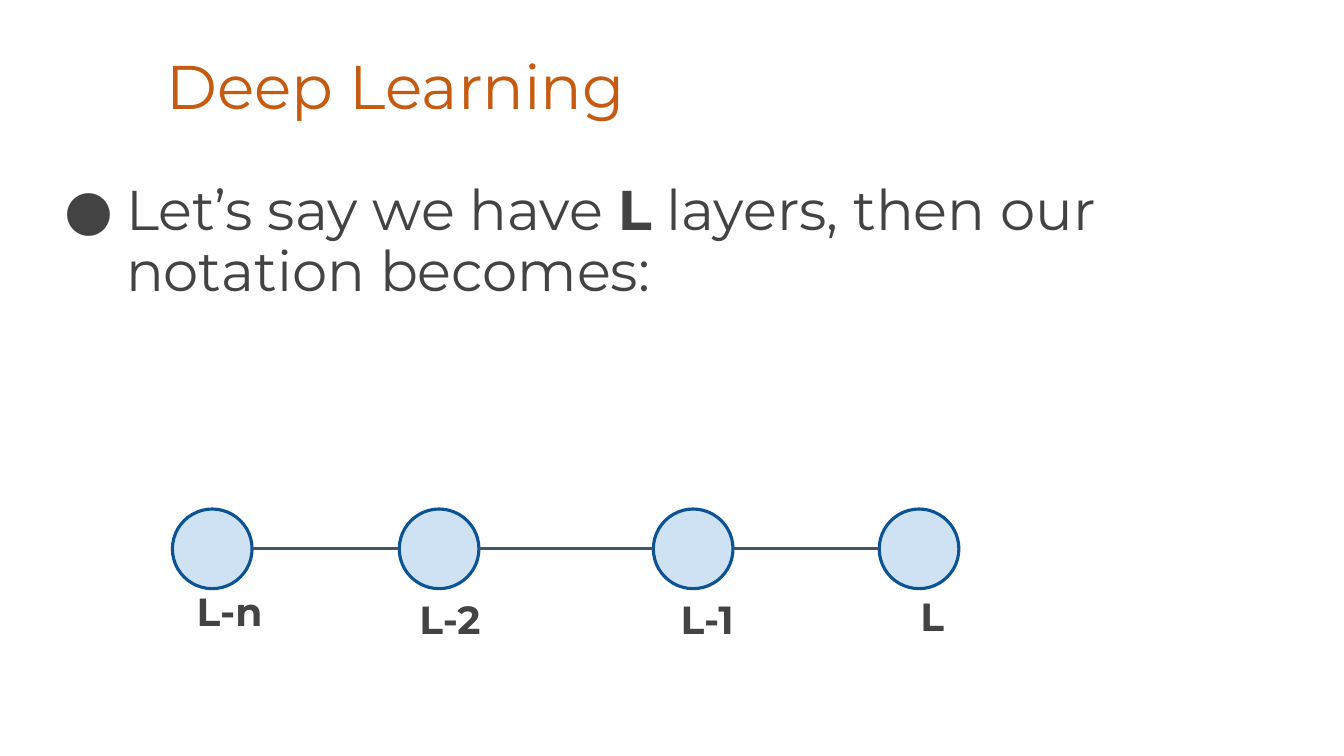
from itertools import pairwise

from lxml.etree import SubElement
from pptx import Presentation
from pptx.dml.color import RGBColor
from pptx.enum.shapes import MSO_CONNECTOR, MSO_SHAPE
from pptx.enum.text import MSO_ANCHOR, MSO_AUTO_SIZE, PP_ALIGN
from pptx.oxml.ns import qn
from pptx.util import Emu, Pt

FONT = "Montserrat"
INK = "434343"
NODE_SIZE = 79
LAYERS = [
    ("L-n", 171, (182, 570)),
    ("L-2", 396, (403, 578)),
    ("L-1", 648, (662, 578)),
    ("L", 872, (900, 575)),
]


def px(length):
    """Turn px, 100 to the inch, into EMU."""
    return Emu(length * 9144)


def color(hex_code):
    """Turn a hex string into a colour."""
    return RGBColor.from_string(hex_code)


def place(shape, left, top, width, height):
    """Move a shape into its box."""
    shape.left, shape.top = px(left), px(top)
    shape.width, shape.height = px(width), px(height)


def format_text(shape, size, ink, bold=None):
    """Format the frame and its only paragraph, and return the paragraph."""
    frame = shape.text_frame
    frame.word_wrap = True
    frame.auto_size = MSO_AUTO_SIZE.NONE
    frame.vertical_anchor = MSO_ANCHOR.TOP
    frame.margin_left = frame.margin_right = px(13)
    frame.margin_top = frame.margin_bottom = px(13)
    paragraph = frame.paragraphs[0]
    paragraph.alignment = PP_ALIGN.LEFT
    paragraph.space_before = Pt(0)
    font = paragraph.font
    font.name, font.size, font.bold = FONT, Pt(size), bold
    font.color.rgb = color(ink)
    return paragraph


def fill_title(title, box):
    """Write the heading in its box."""
    place(title, *box)
    title.text_frame.text = "Deep Learning"
    format_text(title, 44, "C55A11").line_spacing = 0.9


def fill_statement(body, box):
    """Write the bulleted statement in its box."""
    place(body, *box)
    statement = format_text(body, 40, INK)
    statement.line_spacing = 0.9
    for words in ("Let’s say we have ", "L", " layers, then our notation becomes:"):
        run = statement.add_run()
        run.text = words
        if words == "L":
            run.font.bold = True
    properties = statement._p.get_or_add_pPr()
    properties.set("marL", str(px(67)))
    properties.set("indent", str(px(-61)))
    bullet_color = SubElement(properties, qn("a:buClr"))
    SubElement(bullet_color, qn("a:srgbClr"), val=INK)
    SubElement(properties, qn("a:buFont"), typeface=FONT)
    SubElement(properties, qn("a:buChar"), char="●")


def draw_node(shapes, left, top):
    """Draw one layer as a circle."""
    node = shapes.add_shape(
        MSO_SHAPE.OVAL, px(left), px(top), px(NODE_SIZE), px(NODE_SIZE)
    )
    node.shadow.inherit = False
    node.fill.solid()
    node.fill.fore_color.rgb = color("CFE2F3")
    node.line.color.rgb = color("0B5394")
    node.line.width = Pt(2.25)


def draw_link(shapes, start, end, y):
    """Join two neighbouring layers with a line."""
    link = shapes.add_connector(
        MSO_CONNECTOR.STRAIGHT, px(start), px(y), px(end), px(y)
    )
    link.line.color.rgb = color("44546A")
    link.line.width = Pt(2.25)
    SubElement(link._element.spPr, qn("a:effectLst"))


def write_label(shapes, name, left, top):
    """Write a layer's name below its circle."""
    label = shapes.add_textbox(px(left), px(top), px(194), px(NODE_SIZE))
    label.text_frame.text = name
    format_text(label, 28, INK, bold=True).space_after = Pt(21.3)


def draw_network(shapes, left, top):
    """Draw the chain of layers from the given corner."""
    node_lefts = [left + x - LAYERS[0][1] for _, x, _ in LAYERS]
    for node_left in node_lefts:
        draw_node(shapes, node_left, top)
    for here, following in pairwise(node_lefts):
        draw_link(shapes, here + NODE_SIZE, following, top + NODE_SIZE // 2)
    for (name, x, (label_x, label_y)), node_left in zip(LAYERS, node_lefts):
        write_label(shapes, name, node_left + label_x - x, top + label_y - 505)


def main():
    """Build the slide and save it."""
    deck = Presentation()
    deck.slide_width, deck.slide_height = px(1333), px(750)
    slide = deck.slides.add_slide(deck.slide_layouts[1])
    fill_title(slide.shapes.title, (152, 43, 1136, 84))
    fill_statement(slide.placeholders[1], (45, 168, 1242, 498))
    draw_network(slide.shapes, 171, 505)
    deck.save("out.pptx")


if __name__ == "__main__":
    main()
